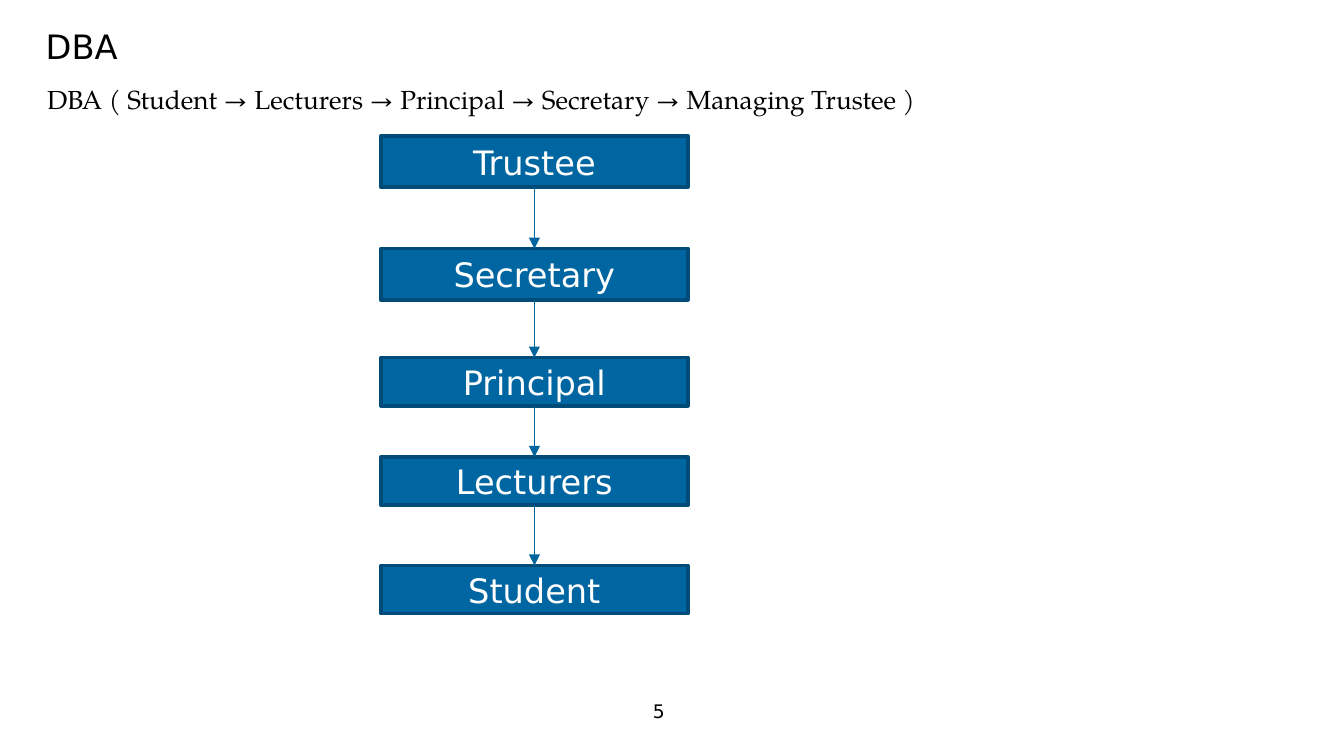
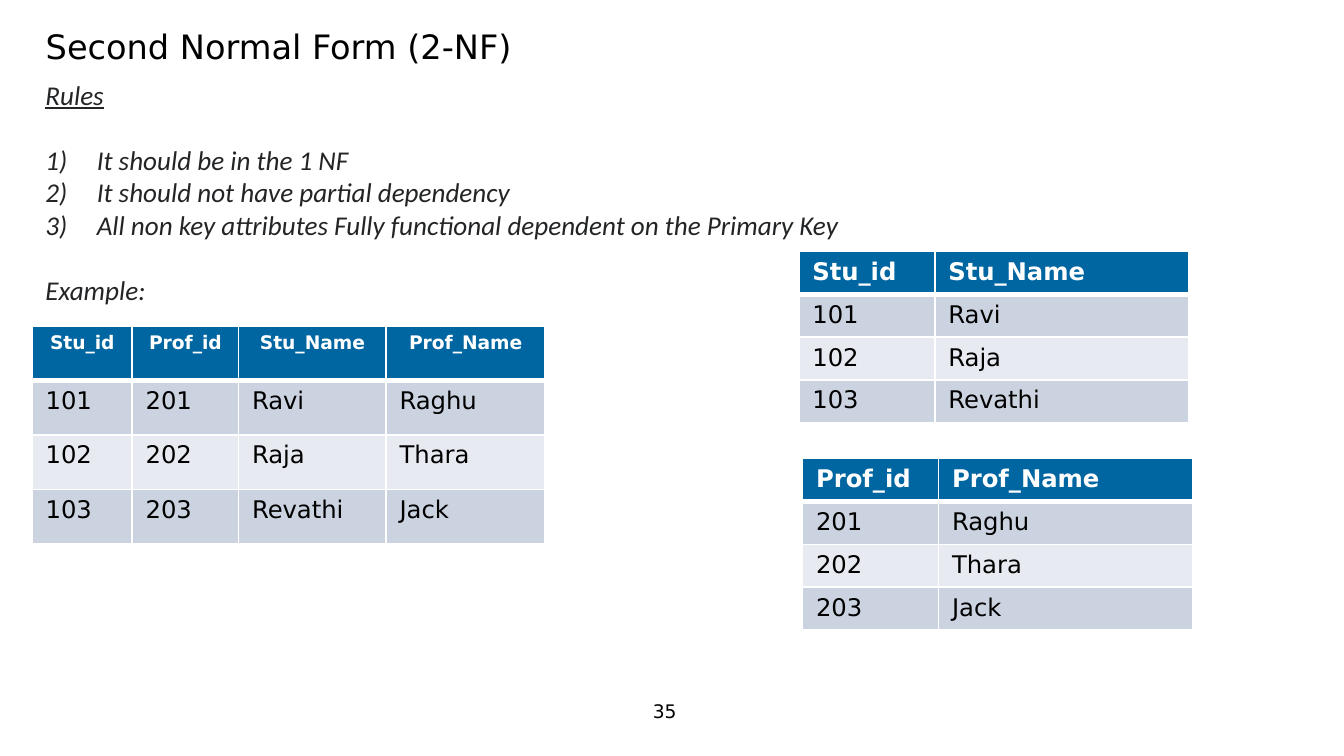
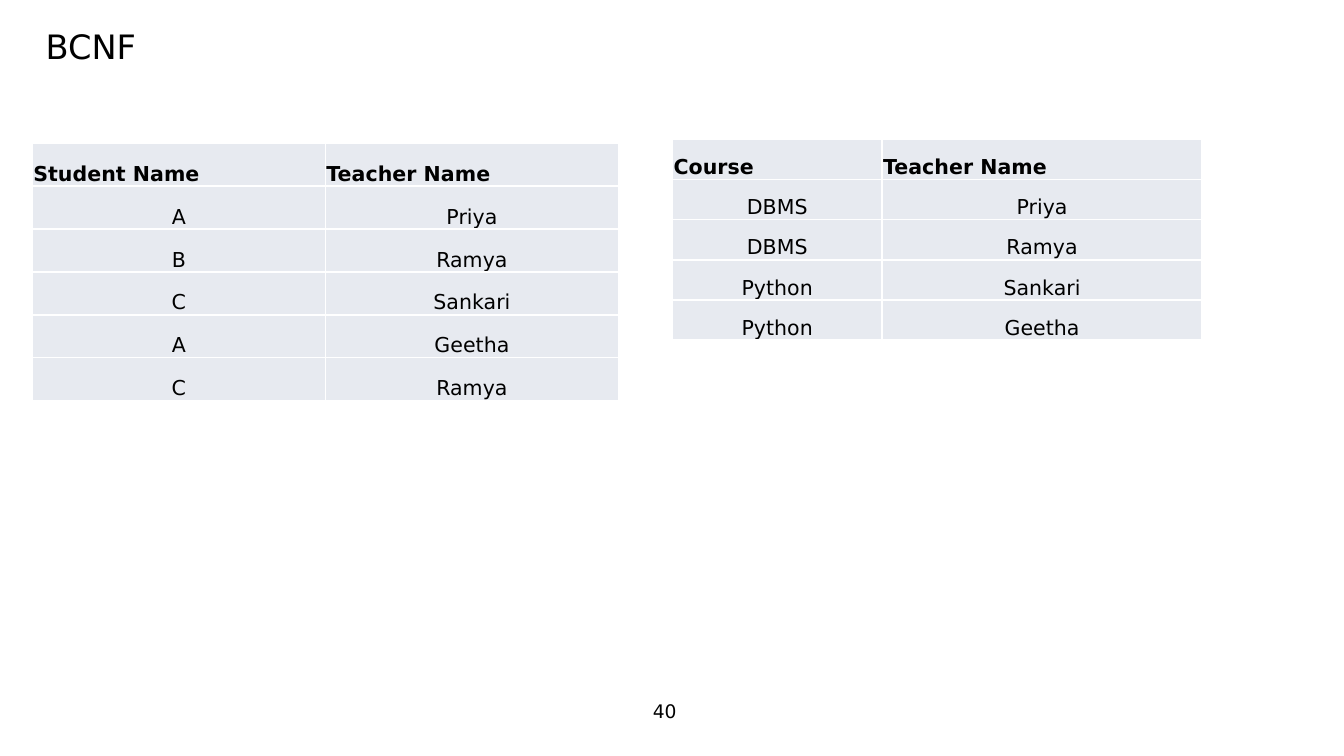
"""Builds three slides of a database course: approval chain, second normal form and BCNF."""
from lxml import etree
from pptx import Presentation
from pptx.dml.color import RGBColor
from pptx.enum.shapes import MSO_CONNECTOR, MSO_SHAPE
from pptx.enum.text import MSO_ANCHOR, PP_ALIGN
from pptx.oxml.ns import qn
from pptx.util import Cm, Pt

LEFT, CENTER, JUSTIFY = PP_ALIGN.LEFT, PP_ALIGN.CENTER, PP_ALIGN.JUSTIFY
TOP, MIDDLE, BOTTOM = MSO_ANCHOR.TOP, MSO_ANCHOR.MIDDLE, MSO_ANCHOR.BOTTOM
RECTANGLE, STRAIGHT = MSO_SHAPE.RECTANGLE, MSO_CONNECTOR.STRAIGHT
SIDE_TOP, SIDE_BOTTOM = 0, 2
TITLE_ONLY = 5


def color(value):
    """Turn a hex string into a colour."""
    return RGBColor.from_string(value)


class Slides:
    """Holds the shared style and the slide being built."""

    SANS, SERIF, RULES = "DejaVu Sans", "TeX Gyre Pagella", "Calibri"
    BLACK, WHITE, INK = "000000", "FFFFFF", "222426"
    BLUE, DARK_BLUE, ARROW_BLUE = "0066A1", "004B77", "00649D"
    BAND, PALE = "CCD3E0", "E7EAF0"

    def __init__(self):
        """Start an empty deck of 10 by 5.62 inches."""
        self.deck = Presentation()
        self.deck.slide_width, self.deck.slide_height = Cm(25.4), Cm(14.29)
        self.page = None

    def start(self, title, number):
        """Add a slide with its title and page number."""
        self.page = self.deck.slides.add_slide(self.deck.slide_layouts[TITLE_ONLY])
        box = self.page.shapes.title
        box.left, box.top, box.width, box.height = Cm(0.61), Cm(0.36), Cm(24.31), Cm(0.99)
        box.text_frame.text = title
        box.text_frame.vertical_anchor = TOP
        self.style(box.text_frame.paragraphs[0], 18)
        self.text(12.09, 13.13, 1.22, 0.61, [str(number)], 10, anchor=MIDDLE)

    def style(self, para, size, font=SANS, ink=BLACK, bold=False, italic=False, align=LEFT):
        """Set the font and alignment of a paragraph."""
        para.alignment = align
        para.font.name, para.font.size = font, Pt(size)
        para.font.bold, para.font.italic = bold, italic
        para.font.color.rgb = color(ink)

    def text(self, left, top, width, height, lines, size, anchor=TOP, **look):
        """Add a text box with one paragraph a line and return the paragraphs."""
        box = self.page.shapes.add_textbox(Cm(left), Cm(top), Cm(width), Cm(height))
        frame = box.text_frame
        frame.word_wrap = True
        frame.vertical_anchor = anchor
        frame.text = "\n".join(lines)
        for para in frame.paragraphs:
            self.style(para, size, **look)
        return frame.paragraphs

    def number(self, para):
        """Give a paragraph a hanging number such as 1)."""
        properties = para._p.get_or_add_pPr()
        indent = Cm(0.97)
        properties.set("marL", str(indent))
        properties.set("indent", str(-indent))
        bullet = etree.Element(qn("a:buAutoNum"), type="arabicParenR")
        defaults = properties.find(qn("a:defRPr"))
        defaults.addprevious(bullet)

    def role(self, name, left, top, width, height):
        """Add a blue box with a role name."""
        box = self.page.shapes.add_shape(RECTANGLE, Cm(left), Cm(top), Cm(width), Cm(height))
        box.shadow.inherit = False
        box.fill.solid()
        box.fill.fore_color.rgb = color(self.BLUE)
        box.line.color.rgb = color(self.DARK_BLUE)
        box.line.width = Pt(2)
        box.text_frame.text = name
        box.text_frame.vertical_anchor = MIDDLE
        self.style(box.text_frame.paragraphs[0], 18, ink=self.WHITE, align=CENTER)
        return box

    def arrow(self, upper, lower):
        """Join two boxes with an arrow pointing down."""
        link = self.page.shapes.add_connector(STRAIGHT, 0, 0, 0, 0)
        link.begin_connect(upper, SIDE_BOTTOM)
        link.end_connect(lower, SIDE_TOP)
        link.line.color.rgb = color(self.ARROW_BLUE)
        link.line.width = Pt(0.75)
        properties = link._element.spPr
        etree.SubElement(properties.find(qn("a:ln")), qn("a:tailEnd"), type="triangle")
        etree.SubElement(properties, qn("a:effectLst"))

    def border(self, cell, **widths):
        """Draw white cell borders, with widths in points by side."""
        properties = cell._tc.get_or_add_tcPr()
        for side, width in widths.items():
            line = etree.SubElement(properties, qn(f"a:ln{side}"), w=str(Pt(width)))
            fill = etree.SubElement(line, qn("a:solidFill"))
            etree.SubElement(fill, qn("a:srgbClr"), val=self.WHITE)

    def grid(self, left, top, widths, row_height, rows):
        """Add an empty-styled table and yield each cell with its row and text."""
        frame = self.page.shapes.add_table(
            len(rows), len(widths), Cm(left), Cm(top), Cm(sum(widths)), Cm(row_height * len(rows)))
        table = frame.table
        for column, width in zip(table.columns, widths):
            column.width = Cm(width)
        for index, values in enumerate(rows):
            table.rows[index].height = Cm(row_height)
            for cell, value in zip(table.rows[index].cells, values):
                cell.text = value
                yield index, cell

    def paint(self, cell, fill):
        """Fill a cell with one colour."""
        cell.fill.solid()
        cell.fill.fore_color.rgb = color(fill)

    def banded(self, left, top, widths, row_height, rows, head_size=13, head_align=LEFT):
        """Add a table with a blue header and banded rows."""
        for index, cell in self.grid(left, top, widths, row_height, rows):
            para = cell.text_frame.paragraphs[0]
            self.border(cell, L=1, R=1, T=3 if index == 1 else 1, B=1 if index else 3)
            if index:
                self.paint(cell, self.BAND if index % 2 else self.PALE)
                self.style(para, 13)
            else:
                self.paint(cell, self.BLUE)
                self.style(para, head_size, ink=self.WHITE, bold=True, align=head_align)

    def plain(self, left, top, widths, row_height, rows):
        """Add a pale table with bold headings and centred values."""
        for index, cell in self.grid(left, top, widths, row_height, rows):
            cell.margin_left = cell.margin_right = cell.margin_top = Cm(0.02)
            cell.margin_bottom = 0
            cell.vertical_anchor = BOTTOM
            self.border(cell, L=1, R=1, T=1, B=1)
            self.paint(cell, self.PALE)
            self.style(cell.text_frame.paragraphs[0], 11, bold=index == 0,
                       align=CENTER if index else LEFT)


def approval_chain(slides):
    """Show the chain from trustee down to student."""
    slides.start("DBA", 5)
    slides.text(0.64, 1.45, 24.26, 2.08,
                ["DBA ( Student → Lecturers → Principal → Secretary → Managing Trustee )"],
                14, font=slides.SERIF, align=JUSTIFY)
    chain = [("Trustee", 2.57, 0.97), ("Secretary", 4.7, 0.97), ("Principal", 6.76, 0.91),
             ("Lecturers", 8.64, 0.91), ("Student", 10.69, 0.91)]
    boxes = [slides.role(name, 7.2, top, 5.8, height) for name, top, height in chain]
    for upper, lower in zip(boxes, boxes[1:]):
        slides.arrow(upper, lower)


def second_normal_form(slides):
    """Show the rules of 2-NF and a table split in two."""
    slides.start("Second Normal Form (2-NF)", 35)
    heading, *rules, example = slides.text(
        0.61, 1.35, 24.49, 10.8,
        ["Rules", "It should be in the 1 NF", "It should not have partial dependency",
         "All non key attributes Fully functional dependent on the Primary Key", "Example:"],
        14.5, font=slides.RULES, ink=slides.INK, italic=True)
    heading.font.underline = True
    for rule in rules:
        slides.number(rule)
    for para in (rules[0], example):
        para.space_before = Pt(17.5)

    records = [("Stu_id", "Prof_id", "Stu_Name", "Prof_Name"), ("101", "201", "Ravi", "Raghu"),
               ("102", "202", "Raja", "Thara"), ("103", "203", "Revathi", "Jack")]
    slides.banded(0.61, 6.16, [1.89, 2.01, 2.79, 3], 1.03, records, 10, CENTER)
    split_widths = [2.57, 4.8]
    slides.banded(15.1, 4.75, split_widths, 0.81, [record[0::2] for record in records])
    slides.banded(15.17, 8.67, split_widths, 0.81, [record[1::2] for record in records])


def boyce_codd(slides):
    """Show the two tables that satisfy BCNF."""
    slides.start("BCNF", 40)
    slides.plain(0.61, 2.71, [5.54, 5.54], 0.81,
                 [("Student Name", "Teacher Name"), ("A", "Priya"), ("B", "Ramya"),
                  ("C", "Sankari"), ("A", "Geetha"), ("C", "Ramya")])
    slides.plain(12.71, 2.63, [3.96, 6.05], 0.76,
                 [("Course", "Teacher Name"), ("DBMS", "Priya"), ("DBMS", "Ramya"),
                  ("Python", "Sankari"), ("Python", "Geetha")])


def main():
    """Build the deck and save it."""
    slides = Slides()
    approval_chain(slides)
    second_normal_form(slides)
    boyce_codd(slides)
    slides.deck.save("out.pptx")


if __name__ == "__main__":
    main()
